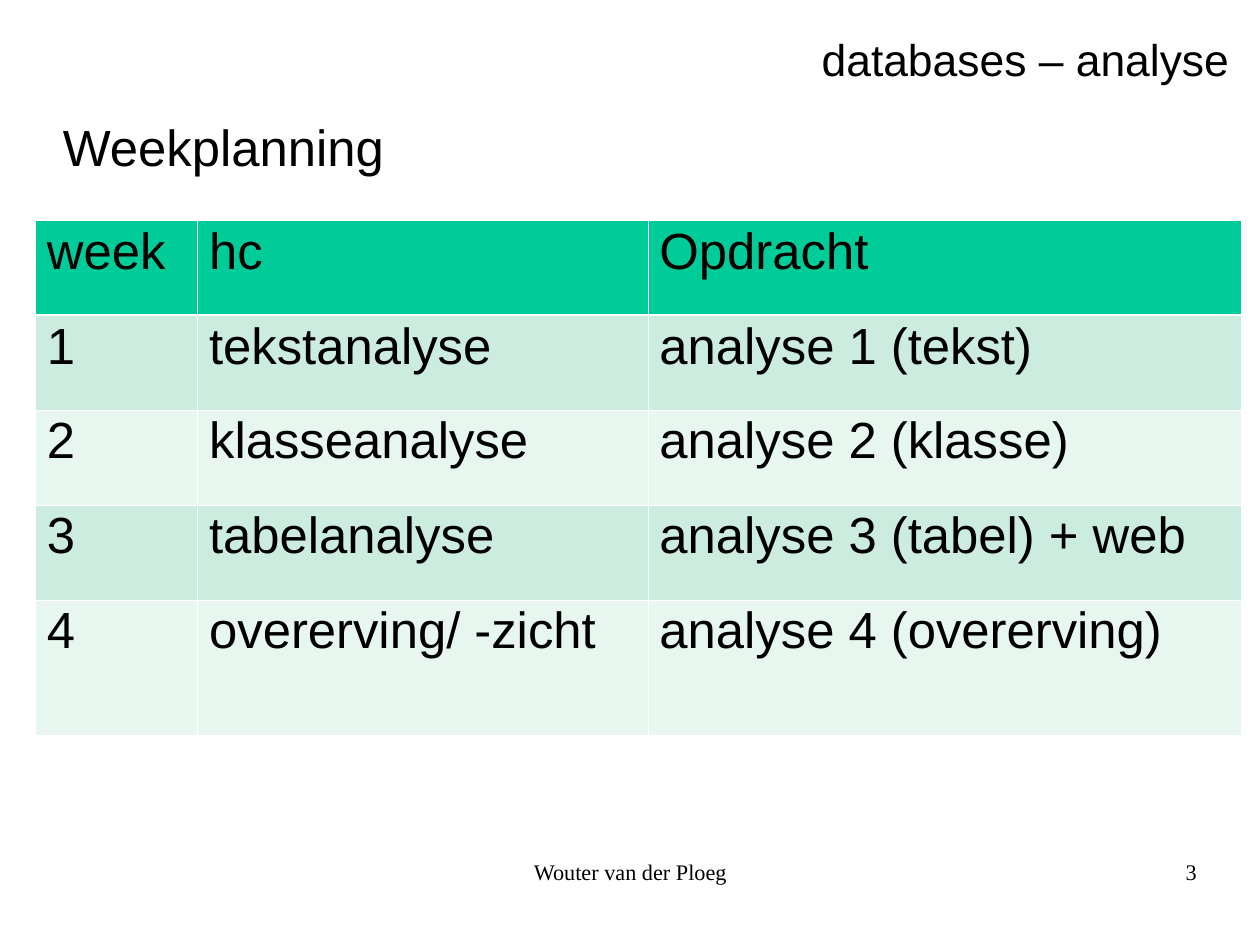
import dataclasses

import pptx
import pptx.dml.color
import pptx.enum.text
import pptx.oxml
import pptx.oxml.ns
import pptx.slide
import pptx.table
import pptx.text.text
import pptx.util

Inches = pptx.util.Inches
Align = pptx.enum.text.PP_ALIGN


@dataclasses.dataclass(frozen=True)
class Theme:
    sans: str = "Arial"
    serif: str = "Times New Roman"
    ink: str = "000000"
    line: str = "FFFFFF"
    head: str = "00CC99"
    bands: tuple[str, str] = ("CBECDE", "E7F6EF")
    large: int = 32
    mid: int = 28
    small: int = 14
    thin: float = 0.45
    thick: float = 1.47


THEME = Theme()


@dataclasses.dataclass(frozen=True)
class Label:
    text: str
    place: tuple[float, float, float, float]
    size: int
    face: str = THEME.sans
    align: Align = Align.LEFT
    space: float = 0.94
    inset: tuple[float, float, float, float] = (0, 0, 0, 0)
    wrap: bool = True
    title: bool = False


LABELS = (
    Label("Weekplanning", (0.45, 0.98, 3.02, 0.6), THEME.large,
          inset=(0.1, 0.08, 0.1, 0.05), title=True),
    Label("databases – analyse", (7.09, 0.25, 3.77, 0.53), THEME.mid,
          inset=(0.1, 0.07, 0.1, 0.05), wrap=False),
    Label("Wouter van der Ploeg", (3.77, 7.53, 3.49, 0.57), THEME.small,
          THEME.serif, Align.CENTER, 0.93),
    Label("3", (7.9, 7.53, 2.57, 0.57), THEME.small,
          THEME.serif, Align.RIGHT, 0.93),
)

PLAN = (
    ("week", "hc", "Opdracht"),
    ("1", "tekstanalyse", "analyse 1 (tekst)"),
    ("2", "klasseanalyse", "analyse 2 (klasse)"),
    ("3", "tabelanalyse", "analyse 3 (tabel) + web"),
    ("4", "overerving/ -zicht", "analyse 4 (overerving)"),
)
WIDTHS = (1.42, 3.94, 5.19)
HEIGHTS = (0.83,) * 4 + (1.18,)
CM = 1 / 2.54


def tint(code: str) -> pptx.dml.color.RGBColor:
    return pptx.dml.color.RGBColor.from_string(code)


def apply(target: object, format: dict[str, object]) -> None:
    for name, value in format.items():
        setattr(target, name, value)


def write(frame: pptx.text.text.TextFrame, text: str, size: int, face: str,
          align: Align = Align.LEFT, space: float = 0.94) -> None:
    frame.text = text
    para = frame.paragraphs[0]
    apply(para, {"alignment": align, "line_spacing": space})
    font = para.runs[0].font
    apply(font, {"name": face, "size": pptx.util.Pt(size), "bold": False})
    font.color.rgb = tint(THEME.ink)


def draw_label(slide: pptx.slide.Slide, label: Label) -> None:
    place = [Inches(value) for value in label.place]
    shape = slide.shapes.title if label.title else slide.shapes.add_textbox(*place)
    apply(shape, dict(zip(("left", "top", "width", "height"), place)))
    sides = ("margin_left", "margin_top", "margin_right", "margin_bottom")
    frame = shape.text_frame
    apply(frame, {
        "word_wrap": label.wrap,
        "auto_size": pptx.enum.text.MSO_AUTO_SIZE.NONE,
        "vertical_anchor": pptx.enum.text.MSO_ANCHOR.TOP,
        **dict(zip(sides, map(Inches, label.inset))),
    })
    write(frame, label.text, label.size, label.face, label.align, label.space)


def add_edge(cell: pptx.table._Cell, side: str, width: float) -> None:
    space = pptx.oxml.ns.nsdecls("a")
    cell._tc.get_or_add_tcPr().append(pptx.oxml.parse_xml(
        f'<a:ln{side} {space} w="{int(pptx.util.Pt(width))}"><a:solidFill>'
        f'<a:srgbClr val="{THEME.line}"/></a:solidFill></a:ln{side}>'))


def draw_plan(slide: pptx.slide.Slide) -> None:
    table = slide.shapes.add_table(
        len(PLAN), len(WIDTHS), Inches(0.31), Inches(1.93),
        Inches(sum(WIDTHS)), Inches(sum(HEIGHTS))).table
    for column, width in zip(table.columns, WIDTHS):
        column.width = Inches(width)
    for row, height in zip(table.rows, HEIGHTS):
        row.height = Inches(height)
    for index, texts in enumerate(PLAN):
        fill = THEME.bands[(index - 1) % 2] if index else THEME.head
        edges = {
            "L": THEME.thin,
            "R": THEME.thin,
            "T": THEME.thick if index == 1 else THEME.thin,
            "B": THEME.thick if index == 0 else THEME.thin,
        }
        for cell, text in zip(table.rows[index].cells, texts):
            for side, width in edges.items():
                add_edge(cell, side, width)
            cell.fill.solid()
            cell.fill.fore_color.rgb = tint(fill)
            write(cell.text_frame, text, THEME.large, THEME.sans)


def main() -> None:
    deck = pptx.Presentation()
    deck.slide_width = Inches(28 * CM)
    deck.slide_height = Inches(21 * CM)
    slide = deck.slides.add_slide(deck.slide_layouts[5])
    for label in LABELS:
        draw_label(slide, label)
    draw_plan(slide)
    deck.save("out.pptx")


if __name__ == "__main__":
    main()
